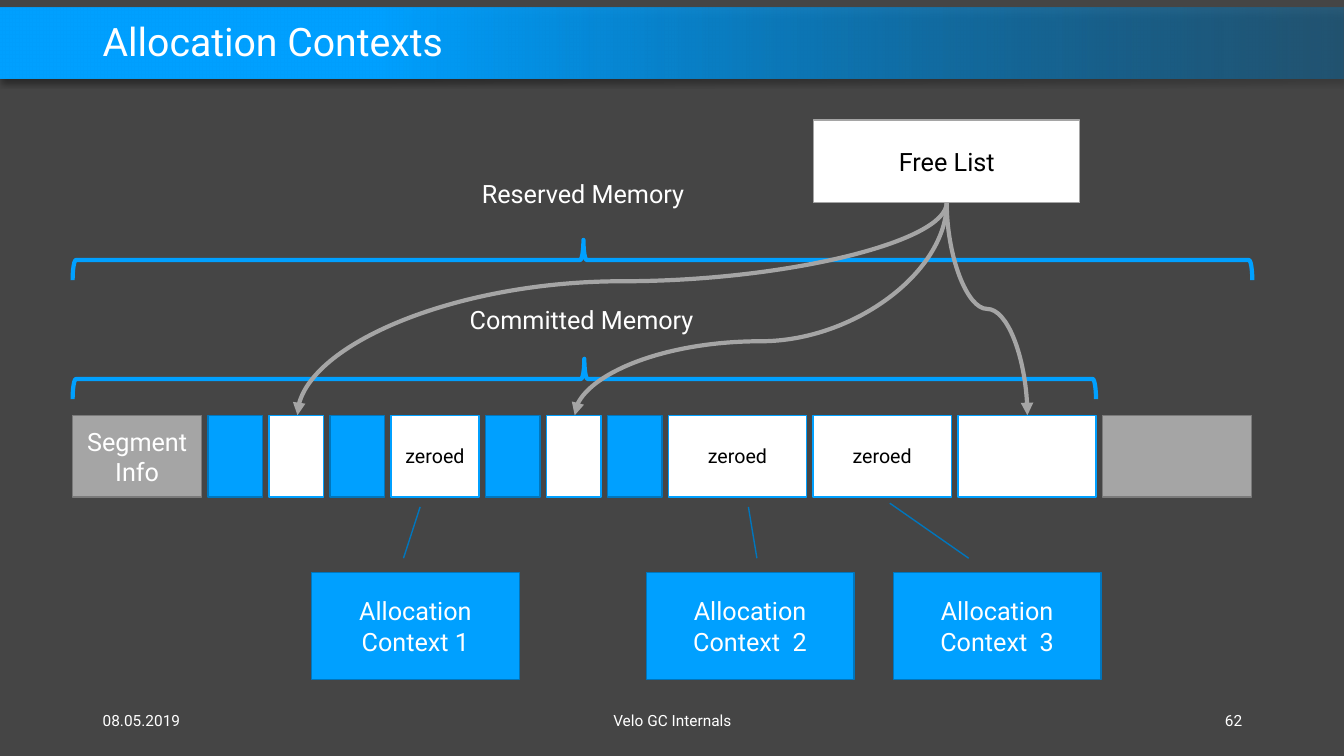
"""Build a slide on allocation contexts in a memory segment."""
from typing import NamedTuple, Optional

from lxml import etree
from pptx import Presentation
from pptx.dml.color import RGBColor
from pptx.enum.shapes import MSO_CONNECTOR, MSO_SHAPE
from pptx.enum.text import MSO_ANCHOR, PP_ALIGN
from pptx.oxml.ns import qn
from pptx.util import Inches, Pt

RECT = MSO_SHAPE.RECTANGLE
BRACE = MSO_SHAPE.LEFT_BRACE
CALLOUT = MSO_SHAPE.LINE_CALLOUT_1
CURVE = MSO_CONNECTOR.CURVE
MIDDLE = MSO_ANCHOR.MIDDLE
TOP = MSO_ANCHOR.TOP
LEFT, CENTER, RIGHT = PP_ALIGN.LEFT, PP_ALIGN.CENTER, PP_ALIGN.RIGHT

DARK = RGBColor(0x45, 0x45, 0x45)
BLUE = RGBColor(0x00, 0xA0, 0xFF)
DEEP = RGBColor(0x00, 0x76, 0xBD)
FADE = RGBColor(0x00, 0x78, 0xBF)
GRAY = RGBColor(0xA5, 0xA5, 0xA5)
EDGE = RGBColor(0x7A, 0x7A, 0x7A)
WHITE = RGBColor(0xFF, 0xFF, 0xFF)
BLACK = RGBColor(0x00, 0x00, 0x00)
FONT = "Roboto"
ROW_X, ROW_Y, ROW_H, GAP = 0.72, 4.12, 0.81, 0.065


class Look(NamedTuple):
    fill: RGBColor
    line: RGBColor
    ink: RGBColor


class Label(NamedTuple):
    text: str
    x: float
    y: float
    w: float
    h: float
    size: int = 11
    align: PP_ALIGN = LEFT
    anchor: MSO_ANCHOR = MIDDLE
    wrap: bool = True
    lead: float = 1.0


class Cell(NamedTuple):
    width: float
    look: Look
    text: str = ""
    size: int = 14


class Brace(NamedTuple):
    y: float
    span: float
    tip: float


class Note(NamedTuple):
    text: str
    x: float
    adj: tuple[float, float, float, float]


class Arrow(NamedTuple):
    x: float
    bend: float


USED = Look(BLUE, DEEP, WHITE)
FREE = Look(WHITE, BLUE, BLACK)
REST = Look(GRAY, EDGE, WHITE)
LIST = Look(WHITE, GRAY, BLACK)

LABELS = [
    Label("Allocation Contexts", 0.92, 0.16, 11.5, 0.55, 28, lead=0.9),
    Label("08.05.2019", 0.92, 6.95, 3, 0.4),
    Label("Velo GC Internals", 4.42, 6.95, 4.5, 0.4, align=CENTER),
    Label("62", 9.42, 6.95, 3, 0.4, align=RIGHT),
    Label("Committed Memory", 4.56, 2.97, 2.46, 0.4, 18, anchor=TOP, wrap=False),
    Label("Reserved Memory", 4.68, 1.72, 2.22, 0.4, 18, anchor=TOP, wrap=False),
]
SLOT, HOLE = Cell(0.54, USED), Cell(0.54, FREE)
WIDE = Cell(1.37, FREE, "zeroed")
CELLS = [
    Cell(1.28, REST, "Segment Info", 18), SLOT, HOLE, SLOT,
    Cell(0.87, FREE, "zeroed"), SLOT, HOLE, SLOT,
    WIDE, WIDE, Cell(1.37, FREE), Cell(1.48, REST),
]
BRACES = [Brace(3.56, 10.15, 0.5), Brace(2.38, 11.7, 0.567)]
NOTES = [
    Note("Allocation Context 1", 3.09, (-0.134, 0.443, -0.614, 0.523)),
    Note("Allocation Context  2", 6.41, (-0.134, 0.533, -0.614, 0.492)),
    Note("Allocation Context  3", 8.86, (-0.134, 0.363, -0.649, -0.017)),
]
ARROWS = [Arrow(5.7, 0.652), Arrow(10.19, 0.5), Arrow(2.95, 0.37)]


def write(shape, text: str, size: int, ink: RGBColor, align: PP_ALIGN,
          anchor: MSO_ANCHOR = MIDDLE, wrap: bool = True) -> None:
    frame = shape.text_frame
    frame.text = text
    frame.word_wrap = wrap
    frame.vertical_anchor = anchor
    para = frame.paragraphs[0]
    para.alignment = align
    font = para.runs[0].font
    font.name, font.size = FONT, Pt(size)
    font.color.rgb = ink


def draw_box(slide, kind: MSO_SHAPE, x: float, y: float, w: float, h: float,
             look: Optional[Look] = None, text: str = "", size: int = 18):
    box = slide.shapes.add_shape(kind, Inches(x), Inches(y), Inches(w), Inches(h))
    box.shadow.inherit = False
    if look:
        box.fill.solid()
        box.fill.fore_color.rgb = look.fill
        box.line.color.rgb = look.line
        box.line.width = Pt(1)
    if text:
        write(box, text, size, look.ink, CENTER)
    return box


def set_alpha(color, part: int) -> None:
    etree.SubElement(color, qn("a:alpha"), val=str(part * 1000))


def draw_band(slide) -> None:
    band = draw_box(slide, RECT, 0, 0.08, 13.33, 0.7)
    band.line.fill.background()
    band.fill.gradient()
    band.fill.gradient_angle = 180
    for stop, rgb, place in zip(band.fill.gradient_stops, (FADE, BLUE), (0, 0.72)):
        stop.color.rgb = rgb
        stop.position = place
    props = band._element.spPr
    set_alpha(props.find(".//" + qn("a:srgbClr")), 40)
    shade = etree.SubElement(
        props.find(qn("a:effectLst")), qn("a:outerShdw"), blurRad=str(Pt(4)),
        dist=str(Pt(3)), dir="5400000", algn="t", rotWithShape="0")
    set_alpha(etree.SubElement(shade, qn("a:srgbClr"), val=str(BLACK)), 40)


def draw_label(slide, item: Label) -> None:
    box = slide.shapes.add_textbox(
        Inches(item.x), Inches(item.y), Inches(item.w), Inches(item.h))
    write(box, item.text, item.size, WHITE, item.align, item.anchor, item.wrap)
    box.text_frame.paragraphs[0].line_spacing = item.lead


def draw_brace(slide, item: Brace) -> None:
    thick, half = 0.4, item.span / 2
    brace = draw_box(slide, BRACE, ROW_X + half - thick / 2,
                     item.y + thick / 2 - half, thick, item.span)
    brace.rotation = 90
    brace.adjustments[1] = item.tip
    brace.fill.background()
    brace.line.color.rgb = BLUE
    brace.line.width = Pt(3)


def draw_note(slide, item: Note) -> None:
    note = draw_box(slide, CALLOUT, item.x, 5.68, 2.06, 1.06, USED, item.text)
    for num, value in enumerate(item.adj):
        note.adjustments[num] = value


def draw_arrow(slide, item: Arrow, x: float, y: float) -> None:
    long, wide = ROW_Y - y, abs(item.x - x)
    left = (x + item.x - long) / 2
    top = (y + ROW_Y - wide) / 2
    right = item.x > x
    ends = (left + long, left) if right else (left, left + long)
    curve = slide.shapes.add_connector(
        CURVE, Inches(ends[0]), Inches(top), Inches(ends[1]), Inches(top + wide))
    curve.line.color.rgb = GRAY
    curve.line.width = Pt(3)
    props = curve._element.spPr
    props.find(qn("a:xfrm")).set("rot", str((270 if right else 90) * 60000))
    guides = props.find(qn("a:prstGeom")).find(qn("a:avLst"))
    etree.SubElement(guides, qn("a:gd"), name="adj1",
                     fmla=f"val {round(item.bend * 100000)}")
    etree.SubElement(props.find(qn("a:ln")), qn("a:tailEnd"), type="triangle")
    etree.SubElement(props, qn("a:effectLst"))


def main() -> None:
    deck = Presentation()
    deck.slide_width, deck.slide_height = Inches(13.33), Inches(7.5)
    slide = deck.slides.add_slide(deck.slide_layouts[6])
    slide.background.fill.solid()
    slide.background.fill.fore_color.rgb = DARK
    draw_band(slide)
    x = ROW_X
    for cell in CELLS:
        draw_box(slide, RECT, x, ROW_Y, cell.width, ROW_H, cell.look, cell.text, cell.size)
        x += cell.width + GAP
    for draw, items in ((draw_brace, BRACES), (draw_label, LABELS), (draw_note, NOTES)):
        for item in items:
            draw(slide, item)
    draw_box(slide, RECT, 8.07, 1.19, 2.64, 0.82, LIST, "Free List")
    for arrow in ARROWS:
        draw_arrow(slide, arrow, 9.39, 2.01)
    deck.save("out.pptx")


if __name__ == "__main__":
    main()
